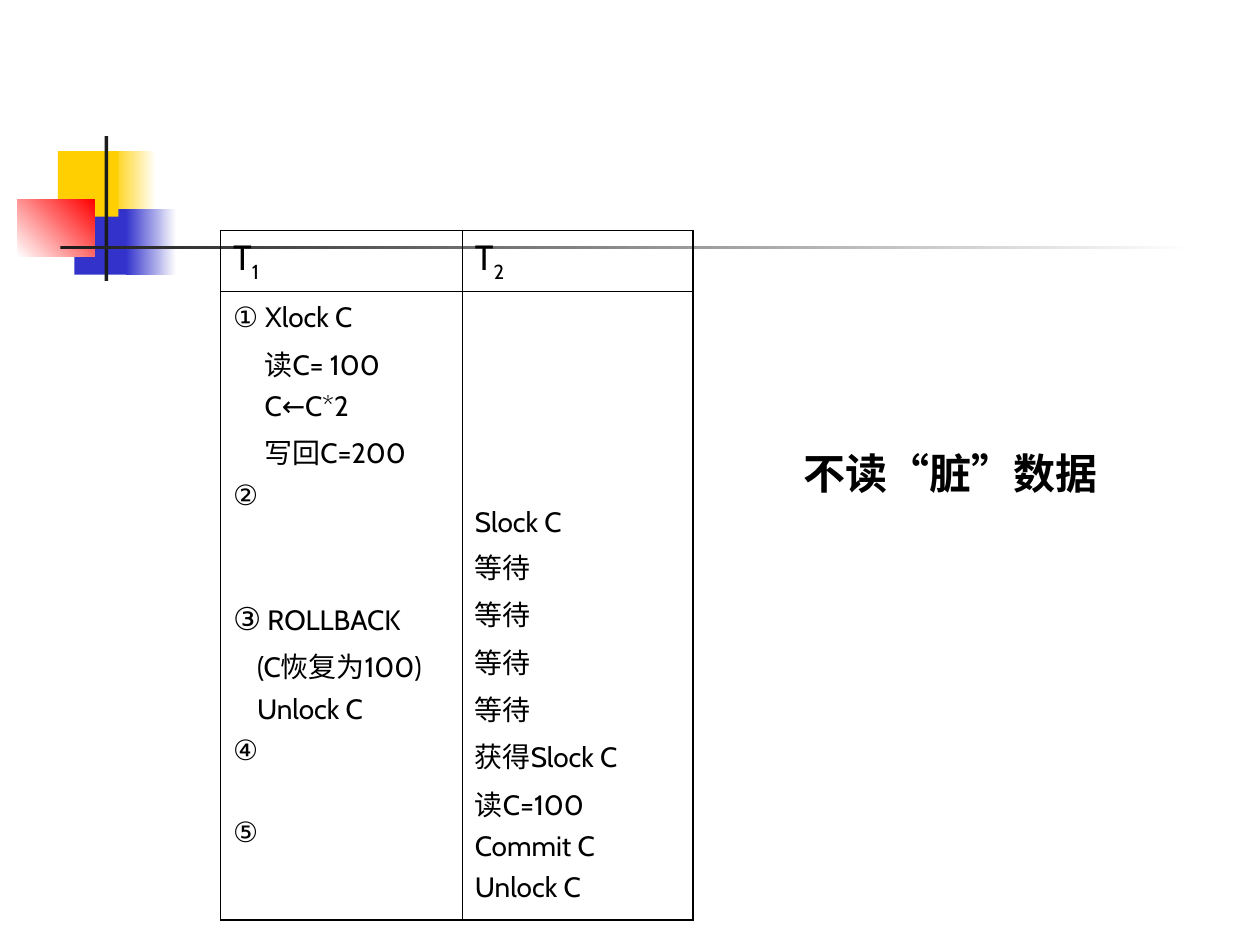
from lxml import etree
from pptx import Presentation
from pptx.dml.color import RGBColor
from pptx.enum.shapes import MSO_SHAPE
from pptx.enum.text import MSO_ANCHOR, PP_ALIGN
from pptx.oxml.ns import qn
from pptx.util import Inches, Pt

RECT = MSO_SHAPE.RECTANGLE
MIDDLE = MSO_ANCHOR.MIDDLE
CENTER, JUSTIFY, LEFT = PP_ALIGN.CENTER, PP_ALIGN.JUSTIFY, PP_ALIGN.LEFT
COLORS = {
    "yellow": "FFCF01", "blue": "3333CC", "red": "FF0000",
    "dark": "1C1C1C", "white": "FFFFFF", "black": "000000",
}
OUTER, INNER = 1.08, 0.45

DECORATION = [
    ((0.88, 1.2, 0.36, 0.52), ("yellow", "white"), 0),
    ((0.59, 1.66, 0.46, 0.52), ("blue",), 0),
    ((0.46, 1.2, 0.48, 0.52), ("yellow",), 0),
    ((1, 1.66, 0.4, 0.52), ("blue", "white"), 0),
    ((0.14, 1.58, 0.61, 0.46), ("white", "red"), 45),
    ((0.83, 1.08, 0.03, 1.15), ("dark",), 0),
    ((0.48, 1.95, 9, 0.03), ("dark", "white"), 0),
]

# Each step: runs as (text, size), left indent in inches, space before in points
T1_STEPS = [
    ([("①", 16), (" ", 18), ("Xlock C", 16)], 0, 0),
    ([("读C= 100", 16)], 0.25, 4),
    ([("C←C*2", 16)], 0.25, 4),
    ([("写回C=200", 16)], 0.25, 4),
    ([("②", 16)], 0, 4),
    ([("③", 18), (" ROLLBACK", 16)], 0, 50),
    ([("(C恢复为100)", 16)], 0.19, 4),
    ([("Unlock C", 16)], 0.19, 4),
    ([("④", 16)], 0, 4),
    ([("⑤", 16)], 0, 27.5),
]
T2_LINES = ["Slock C", *["等待"] * 4, "获得Slock C", "读C=100", "Commit C", "Unlock C"]
T2_STEPS = [([(text, 16)], 0, 4 if i else 0) for i, text in enumerate(T2_LINES)]


class SlideBuilder:
    """Hold the style and the current slide, and add each kind of element."""

    font = "Cabin"
    title_font = "Times New Roman"

    def __init__(self, slide):
        self.slide = slide

    def color(self, name):
        return RGBColor.from_string(COLORS[name])

    def style(self, r, size, font, bold=False):
        r.font.size, r.font.name, r.font.bold = Pt(size), font, bold
        r.font.color.rgb = self.color("black")

    def rect(self, box, fills, angle):
        sp = self.slide.shapes.add_shape(RECT, *map(Inches, box))
        sp.shadow.inherit = False
        sp.line.fill.background()
        if len(fills) == 1:
            sp.fill.solid()
            sp.fill.fore_color.rgb = self.color(fills[0])
            return
        sp.fill.gradient()
        sp.fill.gradient_angle = angle
        for stop, name in zip(sp.fill.gradient_stops, fills):
            stop.color.rgb = self.color(name)

    def title(self, text, box, size):
        sp = self.slide.shapes.add_textbox(*map(Inches, box))
        tf = sp.text_frame
        tf.word_wrap = False
        tf.vertical_anchor = MIDDLE
        tf.text = text
        p = tf.paragraphs[0]
        p.alignment = CENTER
        self.style(p.runs[0], size, self.title_font, bold=True)

    def table(self, left, top, widths, heights):
        box = map(Inches, (left, top, sum(widths), sum(heights)))
        table = self.slide.shapes.add_table(len(heights), len(widths), *box).table
        table.first_row = table.horz_banding = False
        for col, width in zip(table.columns, widths):
            col.width = Inches(width)
        for row, height in zip(table.rows, heights):
            row.height = Inches(height)
        for i in range(len(heights)):
            for j in range(len(widths)):
                cell = table.cell(i, j)
                cell.fill.background()
                self.borders(cell, {
                    "a:lnL": j == 0, "a:lnR": j == len(widths) - 1,
                    "a:lnT": i == 0, "a:lnB": i == len(heights) - 1,
                })
        return table

    def borders(self, cell, sides):
        tcPr = cell._tc.get_or_add_tcPr()
        for i, (tag, is_outer) in enumerate(sides.items()):
            ln = etree.Element(qn(tag), w=str(Pt(OUTER if is_outer else INNER)))
            fill = etree.SubElement(ln, qn("a:solidFill"))
            etree.SubElement(fill, qn("a:srgbClr"), val=COLORS["black"])
            tcPr.insert(i, ln)

    def heading(self, cell, letter, number):
        p = cell.text_frame.paragraphs[0]
        p.alignment = LEFT
        for text in (letter, number):
            r = p.add_run()
            r.text = text
            self.style(r, 20, self.font)
        r._r.get_or_add_rPr().set("baseline", "-25000")

    def steps(self, cell, steps, top=0.05):
        cell.margin_top = Inches(top)
        tf = cell.text_frame
        for i, (runs, indent, before) in enumerate(steps):
            p = tf.add_paragraph() if i else tf.paragraphs[0]
            p.alignment = JUSTIFY
            p.space_before = Pt(before)
            p._p.get_or_add_pPr().set("marL", str(Inches(indent)))
            for text, size in runs:
                r = p.add_run()
                r.text = text
                self.style(r, size, self.font)


def main():
    prs = Presentation()
    prs.slide_width, prs.slide_height = Inches(10), Inches(7.5)
    s = SlideBuilder(prs.slides.add_slide(prs.slide_layouts[6]))
    for box, fills, angle in DECORATION:
        s.rect(box, fills, angle)
    table = s.table(1.75, 1.83, widths=(1.92, 1.83), heights=(0.48, 4.99))
    for j, number in enumerate("12"):
        s.heading(table.cell(0, j), "T", number)
    s.steps(table.cell(1, 0), T1_STEPS)
    s.steps(table.cell(1, 1), T2_STEPS, top=1.7)
    s.title("不读“脏”数据", (6.13, 3.42, 2.83, 0.67), 24)
    prs.save("out.pptx")


if __name__ == "__main__":
    main()
